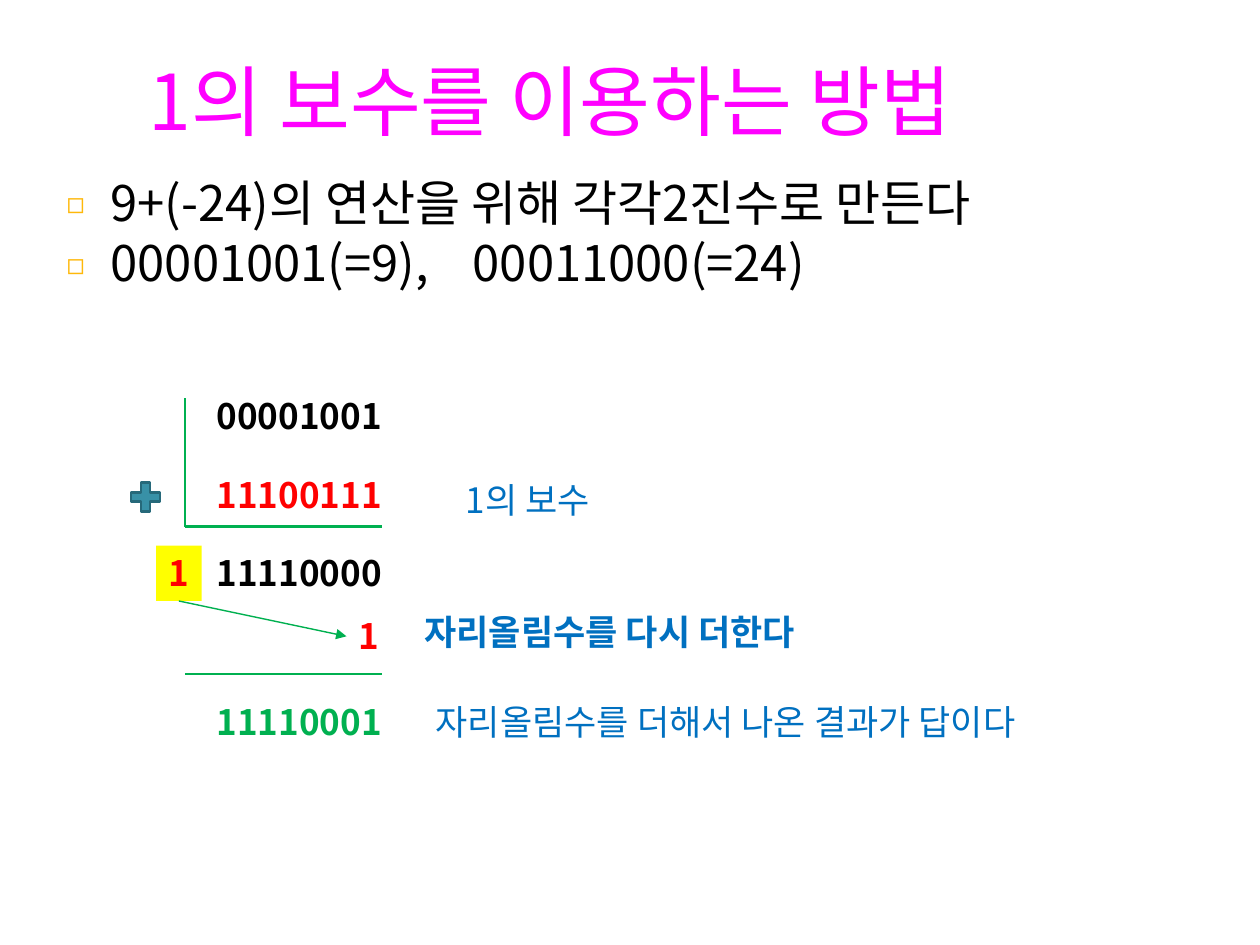
from lxml.etree import SubElement
from pptx import Presentation
from pptx.dml.color import RGBColor
from pptx.enum.shapes import MSO_CONNECTOR, MSO_SHAPE
from pptx.enum.text import MSO_ANCHOR, MSO_AUTO_SIZE
from pptx.oxml.ns import qn
from pptx.util import Inches, Pt

FONT = "Noto Sans CJK KR"
COLORS = {
    "black": "000000", "red": "FF0000", "green": "00B050", "blue": "0070C0",
    "magenta": "FF00FF", "yellow": "FFFF00", "amber": "FEB80A",
    "teal": "3891A7", "dark_teal": "26697A",
}


def add_label(text, left, top, width, height, size, color, bold=False, wrap=True):
    label = slide.shapes.add_textbox(Inches(left), Inches(top), Inches(width), Inches(height))
    frame = label.text_frame
    frame.word_wrap = wrap
    frame.text = text
    for paragraph in frame.paragraphs:
        for run in paragraph.runs:
            run.font.name = FONT
            run.font.size = Pt(size)
            run.font.bold = bold
            run.font.color.rgb = RGBColor.from_string(COLORS[color])
            SubElement(run.font._element, qn("a:ea")).set("typeface", FONT)
    return label


def add_rule(x1, y1, x2, y2, weight=1.5):
    rule = slide.shapes.add_connector(
        MSO_CONNECTOR.STRAIGHT, Inches(x1), Inches(y1), Inches(x2), Inches(y2))
    rule.line.color.rgb = RGBColor.from_string(COLORS["green"])
    rule.line.width = Pt(weight)
    SubElement(rule._element.spPr, qn("a:effectLst"))
    return rule


prs = Presentation()
prs.slide_width = Inches(10)
prs.slide_height = Inches(7.5)
slide = prs.slides.add_slide(prs.slide_layouts[6])

title = add_label("1의 보수를 이용하는 방법", 1.08, 0.25, 8.92, 1.08, 44, "magenta")
title.text_frame.vertical_anchor = MSO_ANCHOR.MIDDLE

steps = add_label("9+(-24)의 연산을 위해 각각2진수로 만든다\n00001001(=9), 00011000(=24)",
                  0.43, 1.39, 9, 1.58, 28, "black")
for index, step in enumerate(steps.text_frame.paragraphs):
    step.line_spacing = 0.85
    if index:
        step.space_before = Pt(6)
    properties = step._p.get_or_add_pPr()
    properties.set("marL", str(Inches(0.35)))
    properties.set("indent", str(-Inches(0.35)))
    bullet_color = SubElement(properties, qn("a:buClr"))
    SubElement(bullet_color, qn("a:srgbClr")).set("val", COLORS["amber"])
    SubElement(properties, qn("a:buSzPct")).set("val", "60000")
    SubElement(properties, qn("a:buFont")).set("typeface", FONT)
    SubElement(properties, qn("a:buChar")).set("char", "◻")

operands = steps.text_frame.paragraphs[1]
first_operand = operands.runs[0]
first_operand.text = "00001001(=9),"
for text, spacing in ((" ", 1880), ("00011000(=24)", 0)):
    part = operands.add_run()
    part.text = text
    part.font.name = FONT
    part.font.size = Pt(28)
    part.font.color.rgb = RGBColor.from_string(COLORS["black"])
    SubElement(part.font._element, qn("a:ea")).set("typeface", FONT)
    part.font._element.set("spc", str(spacing))

ROW_HEIGHT = 0.44
for text, top, color in (
    ("00001001", 3.08, "black"),
    ("11100111", 3.71, "red"),
    ("11110000", 4.33, "black"),
    ("11110001", 5.51, "green"),
):
    number = add_label(text, 1.62, top, 1.8, ROW_HEIGHT, 20, color, bold=True)
    number.text_frame.auto_size = MSO_AUTO_SIZE.SHAPE_TO_FIT_TEXT

for text, left, top, width, bold in (
    ("1의 보수", 3.6, 3.75, 1.27, False),
    ("자리올림수를 다시 더한다", 3.27, 4.8, 3.17, True),
    ("자리올림수를 더해서 나온 결과가 답이다", 3.36, 5.51, 4.86, False),
):
    remark = add_label(text, left, top, width, ROW_HEIGHT, 20, "blue", bold, wrap=False)
    remark.text_frame.auto_size = MSO_AUTO_SIZE.SHAPE_TO_FIT_TEXT

carry = add_label("1", 1.24, 4.33, 0.36, ROW_HEIGHT, 20, "red", bold=True, wrap=False)
carry.fill.solid()
carry.fill.fore_color.rgb = RGBColor.from_string(COLORS["yellow"])
added_carry = add_label("1", 2.75, 4.83, 0.36, ROW_HEIGHT, 20, "red", bold=True, wrap=False)

add_rule(1.47, 3.16, 1.47, 4.18)
for y in (4.18, 5.35):
    add_rule(1.47, y, 3.03, y)

carry_arrow = add_rule(1.42, 4.77, 2.75, 5.05, 0.79)
carry_arrow.begin_connect(carry, 2)
carry_arrow.end_connect(added_carry, 1)
SubElement(carry_arrow.line._get_or_add_ln(), qn("a:tailEnd")).set("type", "triangle")

plus = slide.shapes.add_shape(
    MSO_SHAPE.MATH_PLUS, Inches(1), Inches(3.79), Inches(0.31), Inches(0.31))
plus.shadow.inherit = False
plus.fill.solid()
plus.fill.fore_color.rgb = RGBColor.from_string(COLORS["teal"])
plus.line.color.rgb = RGBColor.from_string(COLORS["dark_teal"])
plus.line.width = Pt(1.5)

prs.save("out.pptx")
